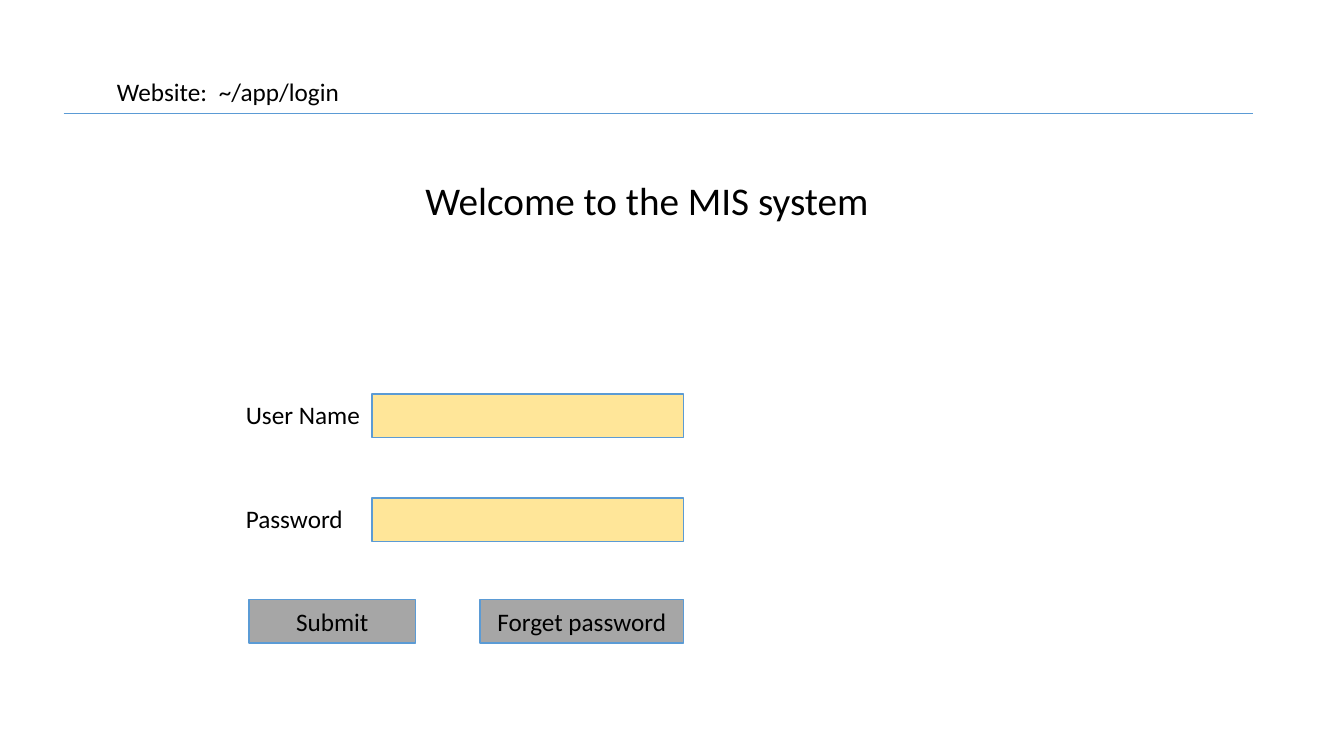
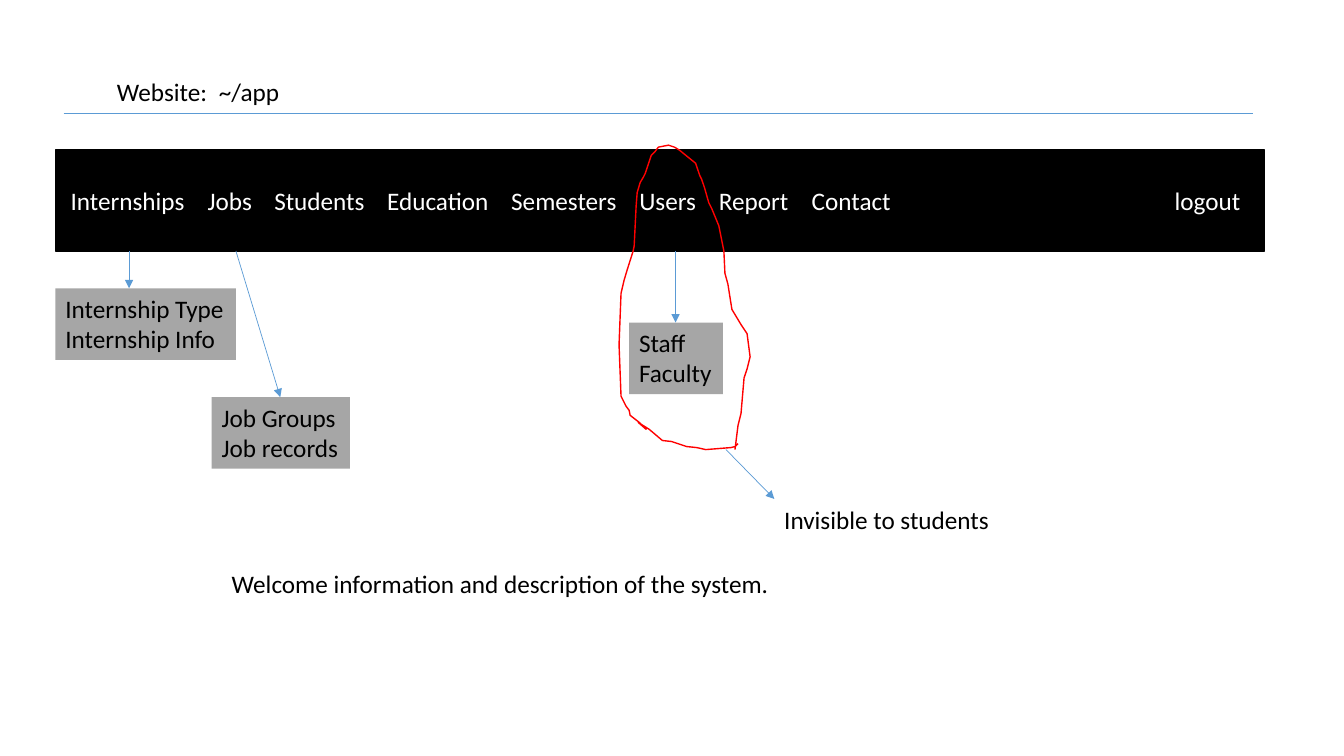
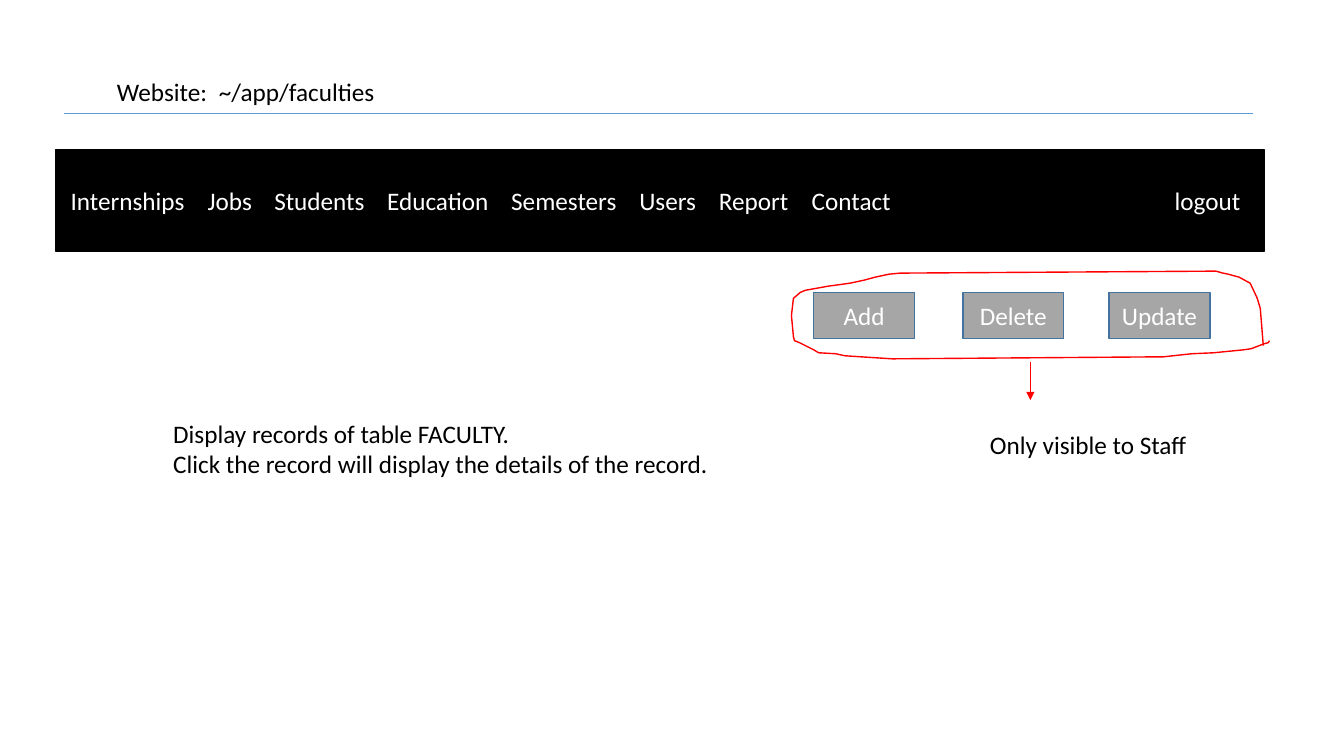
import lxml.etree
import pptx
import pptx.dml.color
import pptx.enum.shapes
import pptx.enum.text
import pptx.oxml.ns
import pptx.util

PX = 9144  # EMU per px, 100 px to the inch
FONT = "Calibri"
BLACK = pptx.dml.color.RGBColor(0x00, 0x00, 0x00)
WHITE = pptx.dml.color.RGBColor(0xFF, 0xFF, 0xFF)
BLUE = pptx.dml.color.RGBColor(0x5B, 0x9B, 0xD5)
DARK_BLUE = pptx.dml.color.RGBColor(0x43, 0x73, 0x9E)
GRAY = pptx.dml.color.RGBColor(0xA6, 0xA6, 0xA6)
YELLOW = pptx.dml.color.RGBColor(0xFF, 0xE6, 0x99)
RED = pptx.dml.color.RGBColor(0xFF, 0x00, 0x00)
LEFT = pptx.enum.text.PP_ALIGN.LEFT
CENTER = pptx.enum.text.PP_ALIGN.CENTER
qn = pptx.oxml.ns.qn


def write(shape, text, color=BLACK, size=18, align=LEFT, tabs=()):
    shape.text_frame.text = text
    for paragraph in shape.text_frame.paragraphs:
        paragraph.alignment = align
        for run in paragraph.runs:
            run.font.name = FONT
            run.font.size = pptx.util.Pt(size)
            run.font.color.rgb = color
        if tabs:
            properties = paragraph._p.get_or_add_pPr()
            tab_list = lxml.etree.SubElement(properties, qn("a:tabLst"))
            for position in tabs:
                lxml.etree.SubElement(tab_list, qn("a:tab"), pos=str(position * PX), algn="l")


def add_box(slide, left, top, width, height, fill, line):
    box = slide.shapes.add_shape(pptx.enum.shapes.MSO_SHAPE.RECTANGLE,
                                 left * PX, top * PX, width * PX, height * PX)
    box.shadow.inherit = False
    box.fill.solid()
    box.fill.fore_color.rgb = fill
    box.line.color.rgb = line
    box.line.width = pptx.util.Pt(1)
    return box


presentation = pptx.Presentation()
presentation.slide_width = 1333 * PX
presentation.slide_height = 750 * PX

# Shared title position: the address line
layout = presentation.slide_layouts[5]
title = layout.placeholders[0]
title.left, title.top, title.width, title.height = 106 * PX, 71 * PX, 600 * PX, 40 * PX
title.text_frame.vertical_anchor = pptx.enum.text.MSO_ANCHOR.TOP

# Slides with address and, after login, the menu bar
MENU = ["Internships", "Jobs", "Students", "Education", "Semesters",
        "Users", "Report", "Contact", "logout"]
MENU_TABS = [136, 202, 314, 437, 564, 643, 735, 1095]
for address, has_menu in [("~/app/login", False), ("~/app", True), ("~/app/faculties", True)]:
    slide = presentation.slides.add_slide(layout)
    write(slide.shapes.title, "Website:\t" + address, tabs=[101])
    if has_menu:
        menu_bar = add_box(slide, 55, 149, 1199, 100, BLACK, BLACK)
        menu_bar.text_frame.margin_left = 15 * PX
        write(menu_bar, "\t".join(MENU), WHITE, tabs=MENU_TABS)
login, home, faculties = presentation.slides

# Login fields and buttons
for top in (391, 494):
    add_box(login, 369, top, 309, 43, YELLOW, BLUE)
for text, left, width in [("Submit", 247, 165), ("Forget password", 476, 202)]:
    write(add_box(login, left, 595, width, 43, GRAY, BLUE), text, align=CENTER)

# Record buttons
for text, left in [("Add", 807), ("Delete", 955), ("Update", 1100)]:
    write(add_box(faculties, left, 290, 100, 46, GRAY, DARK_BLUE), text, WHITE, align=CENTER)

# Labels, drop-down menus and remarks
for slide, left, top, width, height, text, size, fill in [
    (login, 412, 170, 465, 57, "Welcome to the MIS system", 28, None),
    (login, 234, 391, 134, 40, "User Name", 18, None),
    (login, 234, 494, 117, 40, "Password", 18, None),
    (home, 55, 286, 179, 71, "Internship Type\nInternship Info", 18, GRAY),
    (home, 210, 394, 137, 71, "Job Groups\nJob records", 18, GRAY),
    (home, 624, 320, 93, 71, "Staff\nFaculty", 18, GRAY),
    (home, 768, 495, 226, 40, "Invisible to students", 18, None),
    (home, 220, 559, 559, 40, "Welcome information and description of the system.", 18, None),
    (faculties, 162, 410, 576, 71, "Display records of table FACULTY.\n"
     "Click the record will display the details of the record.", 18, None),
    (faculties, 972, 421, 218, 40, "Only visible to Staff", 18, None),
]:
    label = slide.shapes.add_textbox(left * PX, top * PX, width * PX, height * PX)
    label.text_frame.word_wrap = False
    label.text_frame.auto_size = pptx.enum.text.MSO_AUTO_SIZE.SHAPE_TO_FIT_TEXT
    write(label, text, size=size)
    if fill is not None:
        label.fill.solid()
        label.fill.fore_color.rgb = fill

# Header rules and arrows
header_rules = [(slide, 63, 112, 1243, 112, BLUE, False) for slide in presentation.slides]
arrows = [
    (home, 128, 249, 128, 286, BLUE, True),
    (home, 234, 249, 278, 394, BLUE, True),
    (home, 670, 249, 670, 320, BLUE, True),
    (home, 720, 446, 768, 495, BLUE, True),
    (faculties, 1022, 359, 1022, 397, RED, True),
]
for slide, x1, y1, x2, y2, color, has_head in header_rules + arrows:
    connector = slide.shapes.add_connector(pptx.enum.shapes.MSO_CONNECTOR.STRAIGHT,
                                           x1 * PX, y1 * PX, x2 * PX, y2 * PX)
    connector.line.color.rgb = color
    connector.line.width = pptx.util.Pt(0.5)
    if has_head:
        lxml.etree.SubElement(connector.line._get_or_add_ln(), qn("a:tailEnd"), type="triangle")
    lxml.etree.SubElement(connector._element.spPr, qn("a:effectLst"))

# Hand-drawn rings
USERS_RING = [
    (729, 446), (732, 422), (735, 410), (738, 375), (741, 366), (744, 354), (741, 331),
    (735, 322), (726, 307), (725, 301), (722, 282), (719, 271), (718, 249), (713, 224),
    (706, 207), (703, 201), (701, 194), (699, 187), (696, 178), (694, 174), (690, 162),
    (674, 149), (669, 146), (663, 144), (653, 146), (650, 150), (646, 154), (640, 172),
    (638, 176), (635, 181), (632, 191), (631, 204), (629, 244), (628, 249), (622, 268),
    (619, 278), (616, 291), (614, 342), (616, 393), (621, 403), (624, 407), (625, 412),
    (634, 419), (641, 426), (633, 419), (644, 426), (657, 437), (666, 438), (681, 443),
    (691, 444), (700, 446), (725, 444), (729, 443), (732, 440),
]
BUTTONS_RING = [
    (1253, 343), (1250, 306), (1247, 296), (1240, 281), (1229, 275), (1218, 272),
    (1213, 271), (1206, 269), (893, 271), (882, 272), (868, 275), (857, 278), (843, 281),
    (821, 284), (799, 288), (794, 290), (787, 296), (785, 313), (787, 334), (788, 338),
    (793, 340), (801, 344), (793, 340), (801, 344), (807, 347), (812, 350), (829, 351),
    (838, 353), (885, 356), (1154, 354), (1182, 351), (1204, 350), (1234, 347),
    (1241, 346), (1254, 341), (1258, 340), (1259, 338),
]
for slide, points in [(home, USERS_RING), (faculties, BUTTONS_RING)]:
    builder = slide.shapes.build_freeform(*points[0], scale=PX)
    builder.add_line_segments(points[1:], close=False)
    ring = builder.convert_to_shape()
    ring.shadow.inherit = False
    ring.fill.background()
    ring.line.color.rgb = RED
    ring.line.width = pptx.util.Pt(1)

presentation.save("out.pptx")
